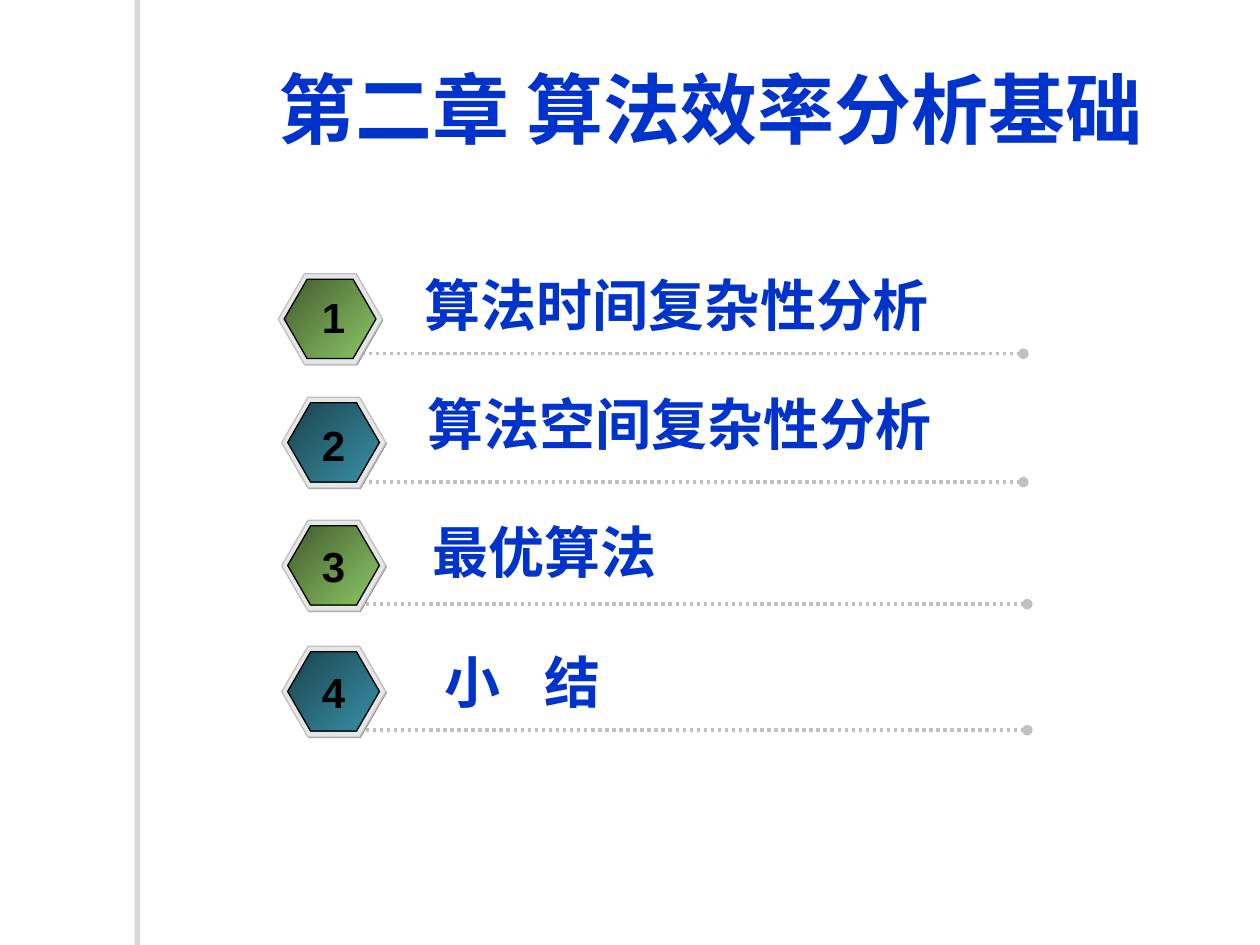
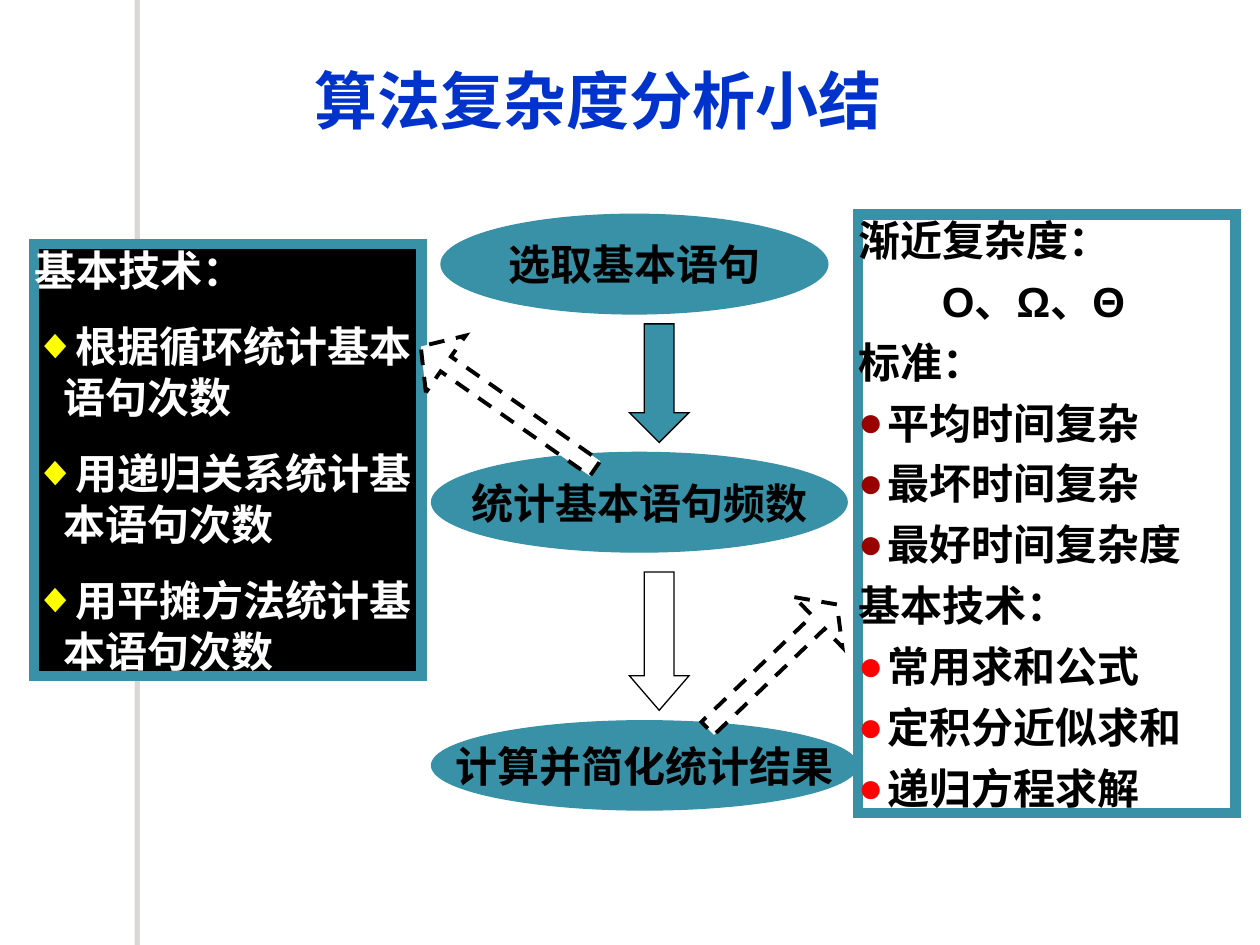
import pptx
import pptx.util
import pptx.dml.color
import pptx.enum.dml
import pptx.enum.shapes
import pptx.enum.text
import pptx.oxml.ns
from lxml import etree

Cm = pptx.util.Cm
Pt = pptx.util.Pt
RGB = pptx.dml.color.RGBColor.from_string
qn = pptx.oxml.ns.qn
PRESET = pptx.enum.shapes.MSO_SHAPE
DASH = pptx.enum.dml.MSO_LINE
ALIGN = pptx.enum.text.PP_ALIGN
ANCHOR = pptx.enum.text.MSO_ANCHOR

COLORS = {
    "title": "0033CC", "black": "000000", "white": "FFFFFF", "teal": "3891A7",
    "dark teal": "1A434D", "green": "8DC765", "dark green": "415C2F",
    "rim": "E6E6E6", "rim shade": "808080", "rule": "C0C0C0", "band shade": "706B5F",
    "yellow": "FFFF00", "maroon": "990000", "red": "FF0000",
}
CJK_FONT = "Noto Sans CJK SC"
SERIF = "Times New Roman"


def write(frame, text, size=24, font=SERIF, color="black", align=None, before=0,
          bullet=None, bullet_color=None, left=0, indent=0, tracking=0):
    """Add one paragraph to the frame, filling its empty first one if there is one."""
    first = frame.paragraphs[0]
    paragraph = frame.add_paragraph() if first.runs else first
    paragraph.alignment = align
    paragraph.space_before = Pt(before)
    properties = paragraph._p.get_or_add_pPr()
    properties.set("marL", str(Cm(left)))
    properties.set("indent", str(Cm(indent)))
    if bullet:
        tint = etree.SubElement(properties, qn("a:buClr"))
        etree.SubElement(tint, qn("a:srgbClr"), val=COLORS[bullet_color])
        etree.SubElement(properties, qn("a:buFont"), typeface="Arial")
        etree.SubElement(properties, qn("a:buChar"), char=bullet)
    run = paragraph.add_run()
    run.text = text
    run.font.size = Pt(size)
    run.font.bold = True
    run.font.color.rgb = RGB(COLORS[color])
    run.font.name = font
    etree.SubElement(run.font._element, qn("a:ea"), typeface=CJK_FONT)
    if tracking:
        run.font._element.set("spc", str(round(tracking * 100)))


def draw(shapes, preset, box, fill=None, line=None, width=0.75):
    """Add a preset shape; box is left, top, width, height in cm, a fill pair is a gradient."""
    shape = shapes.add_shape(preset, *map(Cm, box))
    shape.shadow.inherit = False
    if fill is None:
        shape.fill.background()
    elif isinstance(fill, tuple):
        shape.fill.gradient()
        shape.fill.gradient_angle = 315
        for stop, name in zip(shape.fill.gradient_stops, fill):
            stop.color.rgb = RGB(COLORS[name])
    else:
        shape.fill.solid()
        shape.fill.fore_color.rgb = RGB(COLORS[fill])
    if line:
        shape.line.color.rgb = RGB(COLORS[line])
        shape.line.width = Pt(width)
        etree.SubElement(shape.line._get_or_add_ln(), qn("a:miter"), lim="800000")
    else:
        shape.line.fill.background()
    return shape


deck = pptx.Presentation()
deck.slide_width = Cm(25.4)
deck.slide_height = Cm(19.05)

# Both slides: side band and title
titles = [
    ("第二章 算法效率分析基础", (5.61, 1.24, 18.29, 1.85), 44, CJK_FONT, False),
    ("算法复杂度分析小结", (6.1, 1.12, 14.4, 1.78), 36, SERIF, True),
]
for title, box, size, font, has_margins in titles:
    slide = deck.slides.add_slide(deck.slide_layouts[6])
    band = draw(slide.shapes, PRESET.RECTANGLE, (2.82, 0, 0.2, 19.05), "white")
    effects = band._element.spPr.find(qn("a:effectLst"))
    shade = etree.SubElement(effects, qn("a:outerShdw"), dist=str(Pt(3)), dir="10800000",
                             algn="tl", rotWithShape="0")
    shade_color = etree.SubElement(shade, qn("a:srgbClr"), val=COLORS["band shade"])
    etree.SubElement(shade_color, qn("a:alpha"), val="25000")

    frame = slide.shapes.add_textbox(*map(Cm, box)).text_frame
    frame.word_wrap = True
    if not has_margins:
        frame.margin_left = frame.margin_right = frame.margin_top = frame.margin_bottom = 0
    write(frame, title, size=size, font=font, color="title")

contents, summary = deck.slides

# Slide 1: chapter contents
# topic, its tracking, topic left and top, badge left and top, number top, rule start and height
sections = [
    ("算法时间复杂性分析", 0, 8.31, 5.33, 5.61, 5.52, 5.76, 7.29, 7.13),
    ("算法空间复杂性分析", 0, 8.36, 7.72, 5.68, 8.01, 8.33, 7.29, 9.72),
    ("最优算法", 0, 8.46, 10.31, 5.68, 10.49, 10.77, 7.37, 12.18),
    ("小 结", 8.9, 8.71, 12.93, 5.68, 13.03, 13.31, 7.37, 14.72),
]
badge_fills = [("dark green", "green"), ("dark teal", "teal")]
for number, section in enumerate(sections, start=1):
    topic, tracking, topic_x, topic_y, badge_x, badge_y, number_y, rule_x, rule_y = section
    rule = contents.shapes.add_connector(
        pptx.enum.shapes.MSO_CONNECTOR.STRAIGHT,
        Cm(rule_x), Cm(rule_y), Cm(rule_x + 13.34), Cm(rule_y))
    rule.line.color.rgb = RGB(COLORS["rule"])
    rule.line.width = Pt(2)
    rule.line.dash_style = DASH.ROUND_DOT
    etree.SubElement(rule.line._get_or_add_ln(), qn("a:tailEnd"), type="oval")
    etree.SubElement(rule._element.spPr, qn("a:effectLst"))

    badge = contents.shapes.add_group_shape().shapes
    layers = [
        (0.02, 0.02, 2.1, 1.83, "rim shade", None),
        (0, 0, 2.1, 1.83, "rim", "rule"),
        (0.12, 0.11, 1.85, 1.6, badge_fills[(number - 1) % 2], "black"),
    ]
    for dx, dy, width, height, fill, outline in layers:
        hexagon = draw(badge, PRESET.HEXAGON,
                       (badge_x + dx, badge_y + dy, width, height), fill, outline)
        hexagon.adjustments[0] = 0.289

    frame = contents.shapes.add_textbox(Cm(6.24), Cm(number_y), Cm(0.97), Cm(1.27)).text_frame
    frame.word_wrap = False
    write(frame, str(number), font="Arial", align=ALIGN.CENTER)

    frame = contents.shapes.add_textbox(Cm(topic_x), Cm(topic_y), Cm(11.8), Cm(1.63)).text_frame
    frame.word_wrap = True
    write(frame, topic, size=32, font="Arial", color="title", tracking=tracking)

# Slide 2: panels beside the flow of steps
diamond = dict(bullet="◆", bullet_color="yellow", left=0.6, indent=-0.6)
maroon_dot = dict(diamond, bullet="●", bullet_color="maroon")
red_dot = dict(maroon_dot, bullet_color="red")
techniques = [
    ("基本技术：", {}),
    ("根据循环统计基本语句次数", diamond),
    ("用递归关系统计基本语句次数", diamond),
    ("用平摊方法统计基本语句次数", diamond),
]
measures = [
    ("渐近复杂度：", {}),
    ("Ο、Ω、Θ", dict(font="Arial", left=1.69)),
    ("标准：", {}),
    ("平均时间复杂", maroon_dot),
    ("最坏时间复杂", maroon_dot),
    ("最好时间复杂度", maroon_dot),
    ("基本技术：", {}),
    ("常用求和公式", red_dot),
    ("定积分近似求和", red_dot),
    ("递归方程求解", red_dot),
]
panels = [
    ((0.69, 4.92, 7.81, 8.71), "black", "white", 15, techniques),
    ((17.3, 4.32, 7.61, 12.07), None, "black", 6, measures),
]
for box, fill, text_color, gap, lines in panels:
    panel = draw(summary.shapes, PRESET.RECTANGLE, box, fill, "teal", 6)
    frame = panel.text_frame
    frame.word_wrap = True
    frame.vertical_anchor = ANCHOR.TOP
    frame.margin_left = frame.margin_right = frame.margin_top = frame.margin_bottom = 0
    for position, (text, style) in enumerate(lines):
        write(frame, text, color=text_color, align=ALIGN.LEFT,
              before=gap if position else 0, **style)

steps = [
    ("选取基本语句", (8.89, 4.32, 7.8, 2.01)),
    ("统计基本语句频数", (8.7, 9.12, 8.38, 2.01)),
    ("计算并简化统计结果", (8.7, 14.53, 8.59, 1.8)),
]
for text, box in steps:
    frame = draw(summary.shapes, PRESET.OVAL, box, "teal", "teal").text_frame
    frame.word_wrap = False
    frame.vertical_anchor = ANCHOR.MIDDLE
    write(frame, text, align=ALIGN.CENTER)

arrows = [
    (PRESET.DOWN_ARROW, (12.69, 6.53, 1.2, 2.39), "teal", (0.5, 0.5), 0),
    (PRESET.DOWN_ARROW, (12.69, 11.53, 1.2, 2.79), "white", (0.5, 0.58), 0),
    (PRESET.UP_ARROW, (14.87, 11.63, 1.4, 3.61), "white", (0.26, 0.37), 46.2),
    (PRESET.UP_ARROW, (9.54, 6.07, 1.4, 4.29), "white", (0.26, 0.44), 305),
]
for preset, box, fill, (shaft, head), rotation in arrows:
    arrow = draw(summary.shapes, preset, box, fill, "black", 2.25 if rotation else 0.75)
    arrow.adjustments[0] = shaft
    arrow.adjustments[1] = head
    arrow.rotation = rotation
    if rotation:
        arrow.line.dash_style = DASH.DASH

deck.save("out.pptx")
